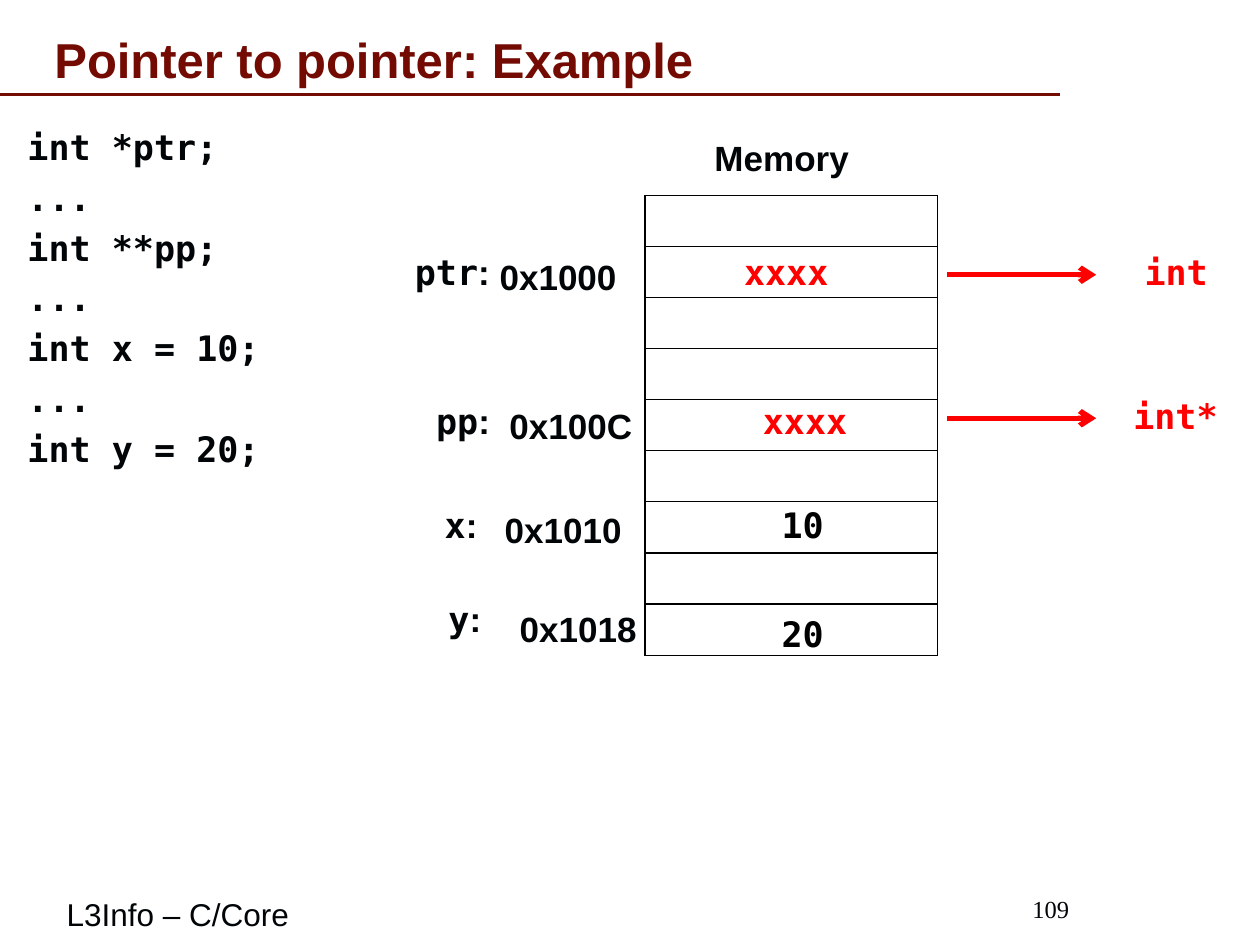
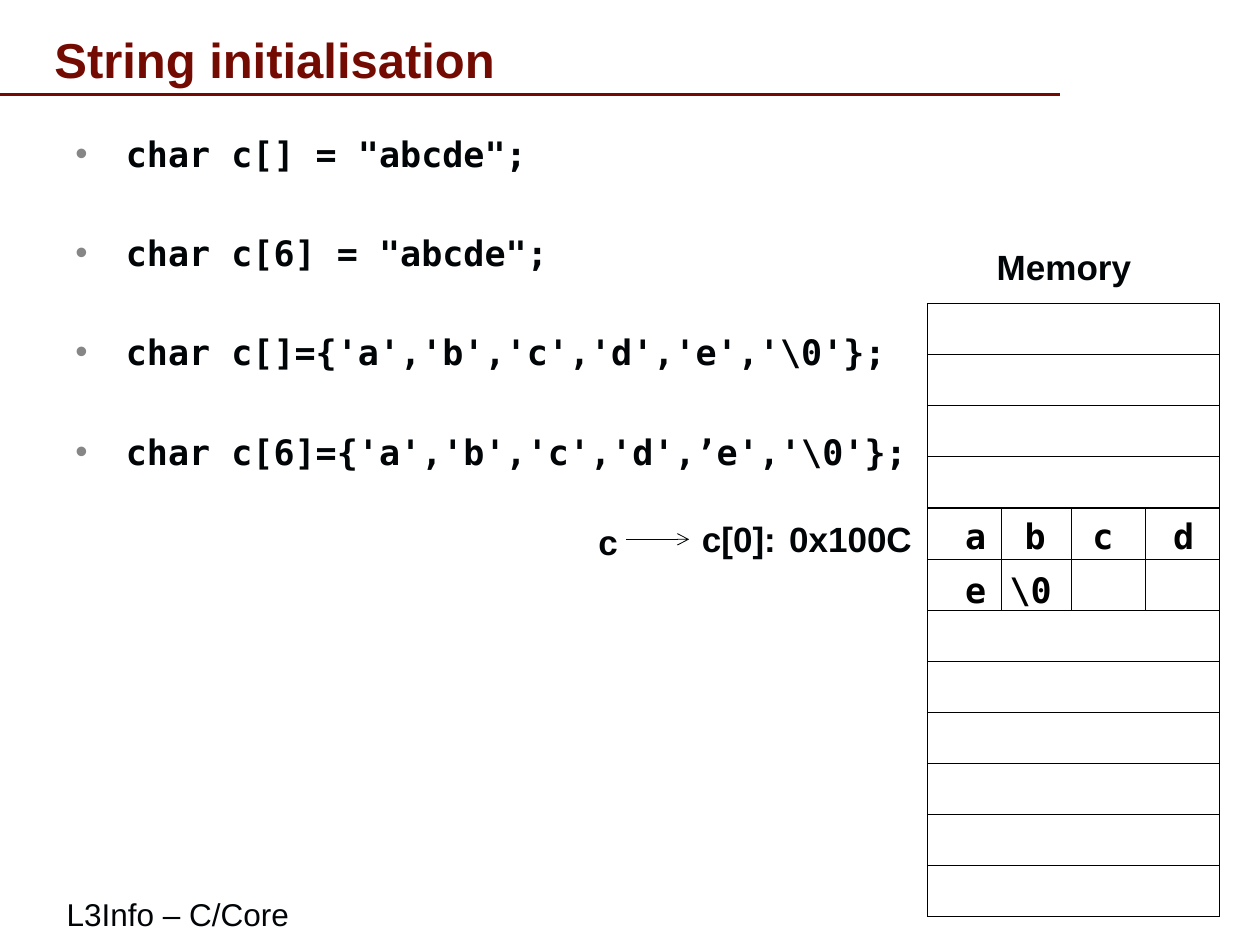
from pptx import Presentation
from pptx.dml.color import RGBColor
from pptx.enum.shapes import MSO_CONNECTOR
from pptx.enum.text import MSO_ANCHOR, PP_ALIGN
from pptx.oxml.ns import qn
from pptx.util import Pt
from lxml import etree

STRAIGHT = MSO_CONNECTOR.STRAIGHT
TOP, MIDDLE, BOTTOM = MSO_ANCHOR.TOP, MSO_ANCHOR.MIDDLE, MSO_ANCHOR.BOTTOM
LEFT, CENTER, RIGHT = PP_ALIGN.LEFT, PP_ALIGN.CENTER, PP_ALIGN.RIGHT

SANS, MONO, SERIF = "Arial", "DejaVu Sans Mono", "Times New Roman"
MAROON, INK, BLACK, RED = "730B03", "010507", "000000", "FF0000"
WHITE, GREY = "FFFFFF", "868686"
ROW_H, MEMORY_W, LABEL_H = 29.2, 167, 31.5


def rgb(color):
    return RGBColor.from_string(color)


def style(item, font, size, color, bold):
    item.font.name = font
    item.font.size = Pt(size)
    item.font.bold = bold
    item.font.color.rgb = rgb(color)


def add_text(s, lines, x, y, w, h, font=SANS, size=20, color=INK, bold=True,
             align=LEFT, anchor=TOP, wrap=True, gap=0, bullet=False):
    tf = s.shapes.add_textbox(Pt(x), Pt(y), Pt(w), Pt(h)).text_frame
    tf.word_wrap = wrap
    tf.vertical_anchor = anchor
    tf.text = "\n".join(lines)
    for i, p in enumerate(tf.paragraphs):
        p.alignment = align
        if bullet:
            add_bullet(p)
        if i:
            p.space_before = Pt(gap)
        for r in p.runs:
            style(r, font, size, color, bold)
    return tf


def add_bullet(p):
    pPr = p._p.get_or_add_pPr()
    pPr.set("marL", str(Pt(28.8)))
    pPr.set("indent", str(-Pt(28.8)))
    clr = etree.SubElement(pPr, qn("a:buClr"))
    etree.SubElement(clr, qn("a:srgbClr"), val=GREY)
    etree.SubElement(pPr, qn("a:buFont"), typeface=SANS)
    etree.SubElement(pPr, qn("a:buChar"), char="•")


def add_label(s, text, x, y, w, font=SANS, color=INK):
    return add_text(s, [text], x, y, w, LABEL_H, font, color=color,
                    align=CENTER, wrap=False)


def add_variable(s, name, x, y, w):
    tf = add_label(s, name, x, y, w, MONO)
    r = tf.paragraphs[0].add_run()
    r.text = ":"
    style(r, SANS, 20, INK, True)


def add_line(s, x1, y1, x2, y2, color, width, arrow=False):
    c = s.shapes.add_connector(STRAIGHT, Pt(x1), Pt(y1), Pt(x2), Pt(y2))
    c.line.color.rgb = rgb(color)
    c.line.width = Pt(width)
    spPr = c.element.spPr
    if arrow:
        etree.SubElement(spPr.find(qn("a:ln")), qn("a:tailEnd"), type="arrow")
    etree.SubElement(spPr, qn("a:effectLst"))


def add_borders(cell):
    tcPr = cell._tc.get_or_add_tcPr()
    for side in ("lnL", "lnR", "lnT", "lnB"):
        ln = etree.SubElement(tcPr, qn("a:" + side), w=str(Pt(0.75)))
        fill = etree.SubElement(ln, qn("a:solidFill"))
        etree.SubElement(fill, qn("a:srgbClr"), val=BLACK)


def add_memory(s, x, y, rows):
    frame = s.shapes.add_table(rows, 1, Pt(x), Pt(y), Pt(MEMORY_W), Pt(rows * ROW_H))
    table = frame.table
    table.first_row = table.horz_banding = False
    for row in table.rows:
        row.height = Pt(ROW_H)
        cell = row.cells[0]
        cell.margin_top = cell.margin_bottom = 0
        add_borders(cell)
        cell.fill.solid()
        cell.fill.fore_color.rgb = rgb(WHITE)
    add_label(s, "Memory", x + 31.3, y - 37, 93.6)


def add_slide(prs, title):
    s = prs.slides.add_slide(prs.slide_layouts[6])
    add_line(s, 0, 54, 606, 54, MAROON, 2.25)
    add_text(s, [title], 24, 12, 680, 42, size=28, color=MAROON, anchor=BOTTOM)
    add_text(s, ["L3Info – C/Core"], 31, 504, 443, 36, size=18, bold=False, anchor=MIDDLE)
    return s


def pointer_slide(prs):
    s = add_slide(prs, "Pointer to pointer: Example")
    add_text(s, ["109"], 499, 504, 119, 30, SERIF, 14, bold=False,
             align=RIGHT, anchor=MIDDLE)
    code = ["int *ptr;", "...", "int **pp;", "...", "int x = 10;", "...", "int y = 20;"]
    add_text(s, code, 8.6, 68.4, 148, 206, MONO, wrap=False, gap=4.7)
    add_memory(s, 368.6, 111.6, 9)

    variables = [("ptr", 229.7, 139.7, 57.6), ("pp", 241.9, 224.6, 45.4),
                 ("x", 247, 284.4, 33), ("y", 249.1, 337.7, 33)]
    for variable in variables:
        add_variable(s, *variable)

    addresses = [("0x1000", 277.9, 142.6, 82), ("0x100C", 283.7, 227.5, 85),
                 ("0x1010", 280.8, 287.3, 82), ("0x1018", 289.4, 343.4, 82)]
    for address in addresses:
        add_label(s, *address)

    values = [("xxxx", 417.6, 139.7, 63.4, RED), ("xxxx", 416.9, 224.6, 86.4, RED),
              ("10", 439.2, 284.4, 39, BLACK), ("20", 439.2, 346.3, 39, BLACK)]
    for text, x, y, w, color in values:
        add_label(s, text, x, y, w, MONO, color)

    for kind, x, y, w in [("int", 646.6, 157, 51), ("int*", 640, 239, 63.4)]:
        add_line(s, 541.4, y, 626.4, y, RED, 3, arrow=True)
        add_label(s, kind, x, y - 17.2, w, MONO, RED)


def string_slide(prs):
    s = add_slide(prs, "String initialisation")
    code = ['char c[] = "abcde";', 'char c[6] = "abcde";',
            r"char c[]={'a','b','c','d','e','\0'};",
            r"char c[6]={'a','b','c','d',’e','\0'};"]
    add_text(s, code, 36, 72, 650, 414, MONO, gap=32.7, bullet=True)
    add_memory(s, 529.9, 173.5, 12)

    add_label(s, "0x100C", 443.5, 292.3, 85)
    add_label(s, "c[0]:", 393.8, 292.3, 57)
    add_label(s, "c", 334.8, 293.8, 23.8)
    add_line(s, 357.8, 308.2, 393.8, 308.2, INK, 0.5, arrow=True)

    characters = [("a", 544.3, 290.2, 26.6), ("b", 578.2, 290.2, 26.6),
                  ("c", 617, 290.2, 26.6), ("d", 663.1, 290.2, 26.6),
                  ("e", 544.3, 321.1, 26.6), ("\\0", 569.5, 321.1, 39)]
    for character in characters:
        add_label(s, *character, MONO, BLACK)
    for x in (572.4, 612, 654.5):
        add_line(s, x, 290.2, x, 349.2, INK, 0.5)


def main():
    prs = Presentation()
    prs.slide_width, prs.slide_height = Pt(720), Pt(540)
    pointer_slide(prs)
    string_slide(prs)
    prs.save("out.pptx")


if __name__ == "__main__":
    main()
